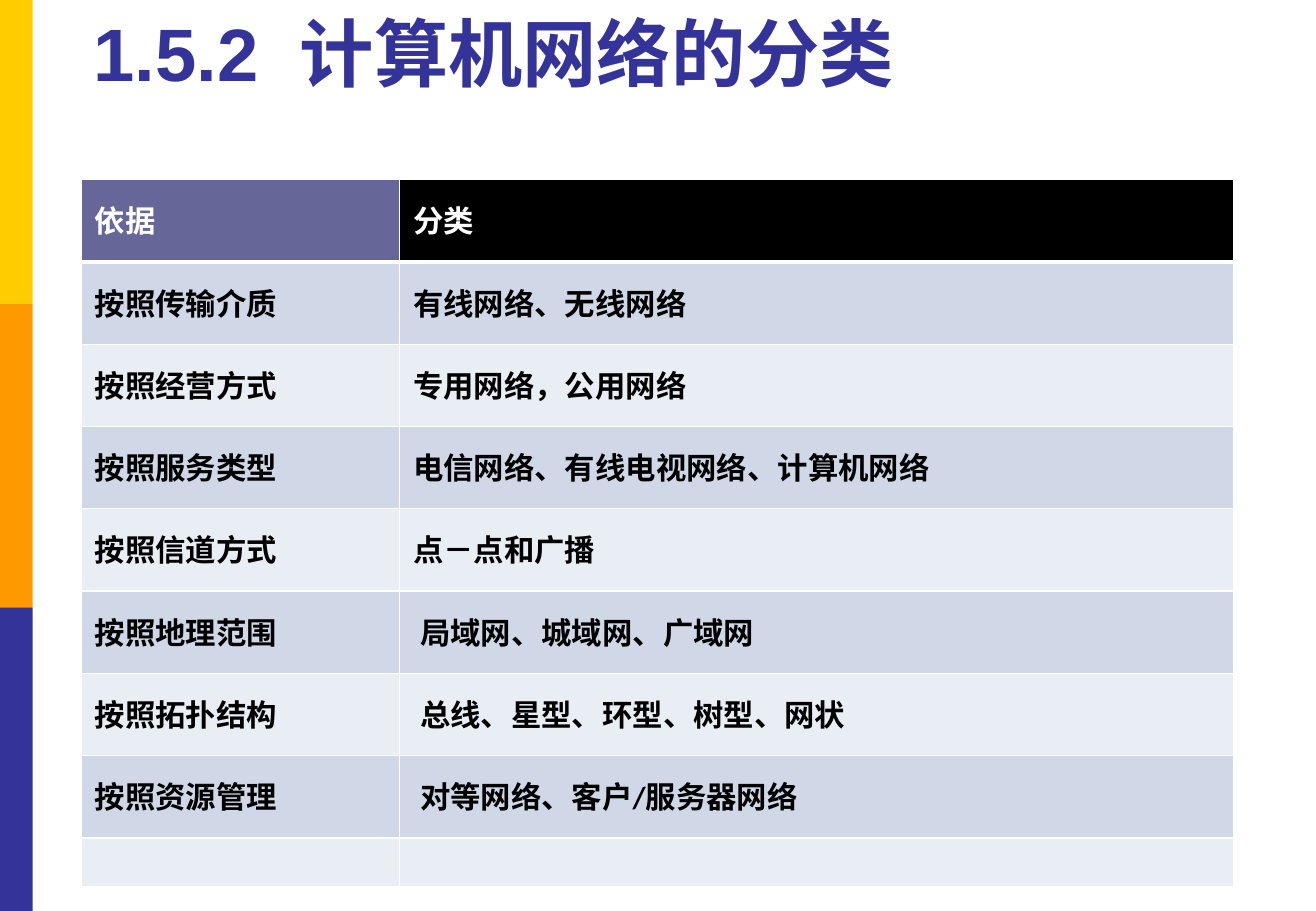
from lxml.etree import SubElement
from pptx import Presentation
from pptx.dml.color import RGBColor
from pptx.enum.shapes import MSO_SHAPE
from pptx.enum.text import MSO_ANCHOR
from pptx.oxml.ns import qn
from pptx.util import Inches, Pt

COLORS = {
    "yellow": "FFCC00", "orange": "FF9900", "indigo": "333399",
    "violet": "666699", "black": "000000", "white": "FFFFFF",
    "band": "D0D8E8", "light": "E9EDF4",
}
ROWS = [
    ("依据", "分类"),
    ("按照传输介质", "有线网络、无线网络"),
    ("按照经营方式", "专用网络，公用网络"),
    ("按照服务类型", "电信网络、有线电视网络、计算机网络"),
    ("按照信道方式", "点－点和广播"),
    ("按照地理范围", " 局域网、城域网、广域网"),
    ("按照拓扑结构", " 总线、星型、环型、树型、网状"),
    ("按照资源管理", " 对等网络、客户/服务器网络"),
    ("", ""),
]
COL_WIDTHS = (2.62, 6.86)
TABLE_HEIGHT, LAST_HEIGHT = 5.79, 0.37


class SlideBuilder:
    title_font = {"name": "Arial", "size": Pt(44), "bold": True}
    cell_font = {"name": "Calibri", "size": Pt(18), "bold": True}
    cell_margins = {
        "margin_left": Inches(0.11), "margin_right": Inches(0.11),
        "margin_top": Inches(0.05), "margin_bottom": Inches(0.05),
        "vertical_anchor": MSO_ANCHOR.MIDDLE,
    }

    def __init__(self, prs):
        self.s = prs.slides.add_slide(prs.slide_layouts[6])

    def paint(self, target, color):
        target.fill.solid()
        target.fill.fore_color.rgb = RGBColor.from_string(COLORS[color])

    def run(self, p, text, font, color):
        r = p.add_run()
        r.text = text
        for name, value in font.items():
            setattr(r.font, name, value)
        r.font.color.rgb = RGBColor.from_string(COLORS[color])
        return r

    def bar(self, x, y, w, h, color):
        sp = self.s.shapes.add_shape(
            MSO_SHAPE.RECTANGLE, Inches(x), Inches(y), Inches(w), Inches(h))
        sp.shadow.inherit = False
        sp.line.fill.background()
        self.paint(sp, color)

    def title(self, x, y, w, h, number, heading):
        """Put a widened space between the section number and its heading."""
        box = self.s.shapes.add_textbox(Inches(x), Inches(y), Inches(w), Inches(h))
        tf = box.text_frame
        tf.word_wrap = True
        tf.vertical_anchor = MSO_ANCHOR.BOTTOM
        p = tf.paragraphs[0]
        self.run(p, number, self.title_font, "indigo")
        gap = self.run(p, " ", self.title_font, "indigo")
        gap._r.get_or_add_rPr().set("spc", "1220")
        self.run(p, heading, self.title_font, "indigo")

    def borders(self, cell, widths):
        tc_pr = cell._tc.get_or_add_tcPr()
        for side, width in widths.items():
            line = SubElement(tc_pr, qn(f"a:ln{side}"), w=str(Pt(width)))
            fill = SubElement(line, qn("a:solidFill"))
            SubElement(fill, qn("a:srgbClr"), val=COLORS["white"])

    def cell(self, cell, text, fill, color, widths):
        for name, value in self.cell_margins.items():
            setattr(cell, name, value)
        self.borders(cell, widths)
        self.paint(cell, fill)
        if text:
            p = cell.text_frame.paragraphs[0]
            p.line_spacing = 0.9
            self.run(p, text, self.cell_font, color)

    def table(self, x, y, rows):
        table = self.s.shapes.add_table(
            len(rows), len(COL_WIDTHS), Inches(x), Inches(y),
            Inches(sum(COL_WIDTHS)), Inches(TABLE_HEIGHT)).table
        for column, width in zip(table.columns, COL_WIDTHS):
            column.width = Inches(width)
        row_height = (TABLE_HEIGHT - LAST_HEIGHT) / (len(rows) - 1)
        for i, texts in enumerate(rows):
            last = i == len(rows) - 1
            table.rows[i].height = Inches(LAST_HEIGHT if last else row_height)
            widths = {"L": 1, "R": 1, "T": 3 if i == 1 else 1, "B": 3 if i == 0 else 1}
            fills = ("violet", "black") if i == 0 else (("light", "band")[i % 2],) * 2
            color = "white" if i == 0 else "black"
            for j, text in enumerate(texts):
                self.cell(table.cell(i, j), text, fills[j], color, widths)


def main():
    prs = Presentation()
    prs.slide_width, prs.slide_height = Inches(10.83), Inches(7.5)
    slide = SlideBuilder(prs)
    for i, color in enumerate(("yellow", "orange", "indigo")):
        slide.bar(0, 2.5 * i, 0.27, 2.5, color)
    slide.title(0.67, 0.18, 9.49, 0.66, "1.5.2", "计算机网络的分类")
    slide.table(0.67, 1.48, ROWS)
    prs.save("out.pptx")


if __name__ == "__main__":
    main()
